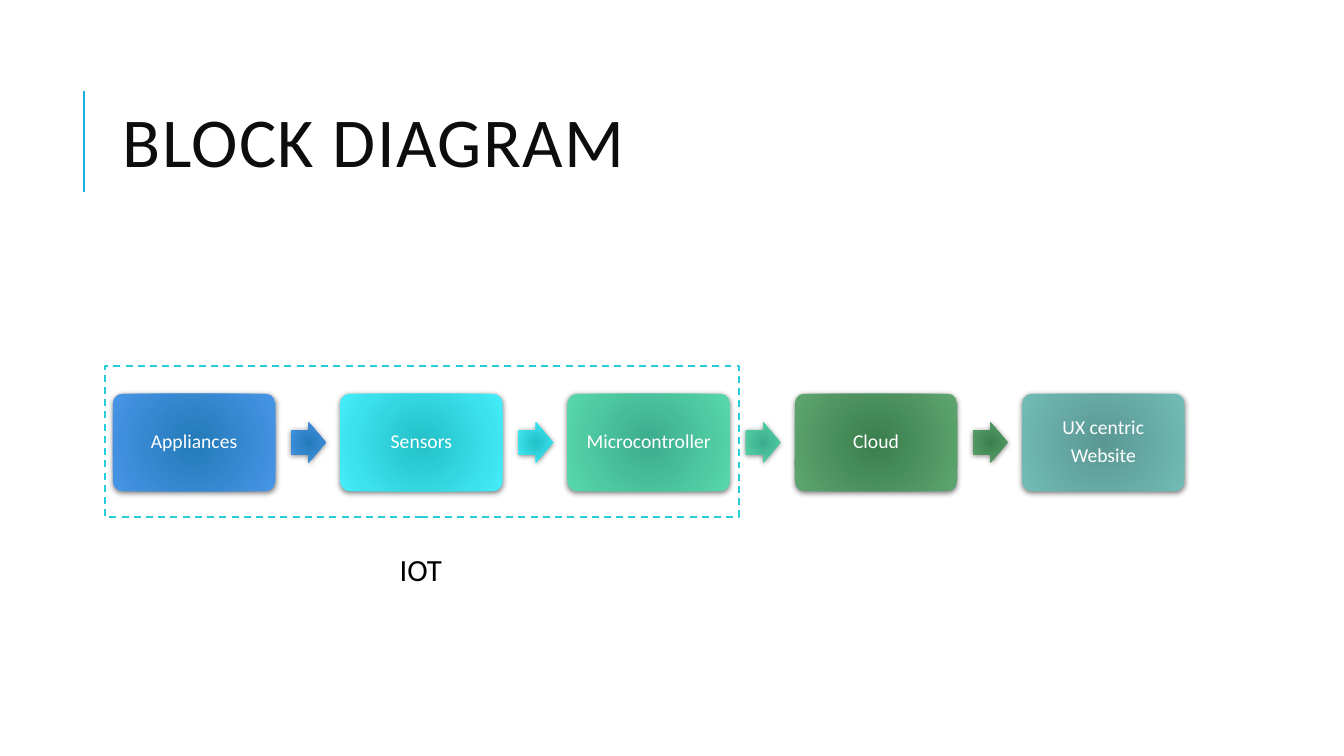
import pptx
import pptx.util
import pptx.dml.color
import pptx.enum.dml
import pptx.enum.shapes
import pptx.enum.text
import pptx.oxml.ns
import lxml.etree

RGBColor = pptx.dml.color.RGBColor
MSO_SHAPE = pptx.enum.shapes.MSO_SHAPE
ANCHOR = pptx.enum.text.MSO_ANCHOR
ALIGN = pptx.enum.text.PP_ALIGN
Pt = pptx.util.Pt
qn = pptx.oxml.ns.qn

# Colours
WHITE = RGBColor(0xFF, 0xFF, 0xFF)
BLACK = RGBColor(0x00, 0x00, 0x00)
TITLE_INK = RGBColor(0x0D, 0x0D, 0x0D)
ACCENT = RGBColor(0x1C, 0xAD, 0xE4)
FRAME = RGBColor(0x27, 0xCE, 0xD7)

# Stages of the chain: label, centre colour, edge colour
STAGES = [
    ("Appliances", RGBColor(0x23, 0x7A, 0xB8), RGBColor(0x48, 0x95, 0xE7)),
    ("Sensors", RGBColor(0x24, 0xC0, 0xC8), RGBColor(0x44, 0xEE, 0xFA)),
    ("Microcontroller", RGBColor(0x3D, 0xAD, 0x8D), RGBColor(0x57, 0xD8, 0xAC)),
    ("Cloud", RGBColor(0x3A, 0x7F, 0x4D), RGBColor(0x5F, 0xA5, 0x6F)),
    ("UX centric\nWebsite", RGBColor(0x5B, 0x98, 0x94), RGBColor(0x72, 0xBB, 0xB6)),
]

# The slide is a grid of 160 columns by 90 rows, each cell 1/12 inch
COLUMNS, ROWS = 160, 90
CHAIN_LEFT, CHAIN_MIDDLE, PITCH = 13.44, 52.68, 27.06
BLOCK_W, BLOCK_H = 19.35, 11.6
ARROW_W, ARROW_H, ARROW_OFFSET = 4.1, 4.84, 21.25


def cells(*counts):
    """Turn counts of grid cells into lengths."""
    return [pptx.util.Inches(count / 12) for count in counts]


def write(shape, text, size, color, align=ALIGN.CENTER, anchor=ANCHOR.TOP,
          line_spacing=1.0, space_after=0, tracking=0):
    frame = shape.text_frame
    frame.word_wrap = True
    frame.vertical_anchor = anchor
    for index, line in enumerate(text.split("\n")):
        paragraph = frame.add_paragraph() if index else frame.paragraphs[0]
        paragraph.alignment = align
        paragraph.line_spacing = line_spacing
        paragraph.space_after = Pt(space_after)
        run = paragraph.add_run()
        run.text = line
        run.font.name = "Calibri"
        run.font.size = Pt(size)
        run.font.color.rgb = color
        if tracking:
            run.font._element.set("spc", str(tracking * 100))


def add_text(slide, box, text, **style):
    write(slide.shapes.add_textbox(*cells(*box)), text, **style)


def add_glow(shape, center, edge):
    """Fill from the centre outwards."""
    shape.fill.gradient()
    for stop, color in zip(shape.fill.gradient_stops, (center, edge)):
        stop.color.rgb = color
    gradient = shape._element.spPr.find(qn("a:gradFill"))
    gradient.remove(gradient.find(qn("a:lin")))
    circle = lxml.etree.SubElement(gradient, qn("a:path"), path="circle")
    lxml.etree.SubElement(circle, qn("a:fillToRect"),
                          {side: "100000" for side in "ltrb"})


def add_shadow(shape):
    """Cast a soft half-black shadow straight down."""
    shape.shadow.inherit = False
    effects = shape._element.spPr.find(qn("a:effectLst"))
    shadow = lxml.etree.SubElement(
        effects, qn("a:outerShdw"), blurRad=str(Pt(4)), dist=str(Pt(1)),
        dir="5400000", algn="ctr", rotWithShape="0")
    black = lxml.etree.SubElement(shadow, qn("a:srgbClr"), val=str(BLACK))
    lxml.etree.SubElement(black, qn("a:alpha"), val="50000")


def add_chain_part(slide, kind, left, width, height, center, edge, adjustments):
    part = slide.shapes.add_shape(
        kind, *cells(left, CHAIN_MIDDLE - height / 2, width, height))
    for index, value in enumerate(adjustments):
        part.adjustments[index] = value
    add_glow(part, center, edge)
    part.line.fill.background()
    add_shadow(part)
    return part


def add_chain(slide):
    for index, (label, center, edge) in enumerate(STAGES):
        left = CHAIN_LEFT + index * PITCH
        block = add_chain_part(slide, MSO_SHAPE.ROUNDED_RECTANGLE, left,
                               BLOCK_W, BLOCK_H, center, edge, [0.1])
        write(block, label, size=14, color=WHITE, anchor=ANCHOR.MIDDLE,
              line_spacing=0.9, space_after=4.9)
        if index < len(STAGES) - 1:
            add_chain_part(slide, MSO_SHAPE.RIGHT_ARROW, left + ARROW_OFFSET,
                           ARROW_W, ARROW_H, center, edge, [0.6, 0.5])


def add_title_rule(slide):
    rule = slide.shapes.add_connector(
        pptx.enum.shapes.MSO_CONNECTOR.STRAIGHT, *cells(10, 22.8, 10, 10.8))
    rule.line.color.rgb = ACCENT
    rule.line.width = Pt(1.5)
    lxml.etree.SubElement(rule._element.spPr, qn("a:effectLst"))


def add_iot_frame(slide):
    frame = slide.shapes.add_shape(MSO_SHAPE.RECTANGLE,
                                   *cells(12.48, 43.56, 75.48, 18))
    frame.shadow.inherit = False
    frame.fill.solid()
    frame.fill.fore_color.rgb = WHITE
    frame.line.color.rgb = FRAME
    frame.line.width = Pt(1.25)
    frame.line.dash_style = pptx.enum.dml.MSO_LINE.DASH


def main():
    deck = pptx.Presentation()
    deck.slide_width, deck.slide_height = cells(COLUMNS, ROWS)
    slide = deck.slides.add_slide(deck.slide_layouts[6])

    # Title
    add_title_rule(slide)
    add_text(slide, (13.44, 7.68, 127.56, 19.68), "BLOCK DIAGRAM", size=50,
             color=TITLE_INK, align=ALIGN.LEFT, anchor=ANCHOR.MIDDLE,
             line_spacing=0.8, tracking=1)

    # Diagram
    add_iot_frame(slide)
    add_chain(slide)
    add_text(slide, (38.16, 64.92, 23.88, 5.64), "IOT", size=22, color=BLACK)

    deck.save("out.pptx")


if __name__ == "__main__":
    main()
